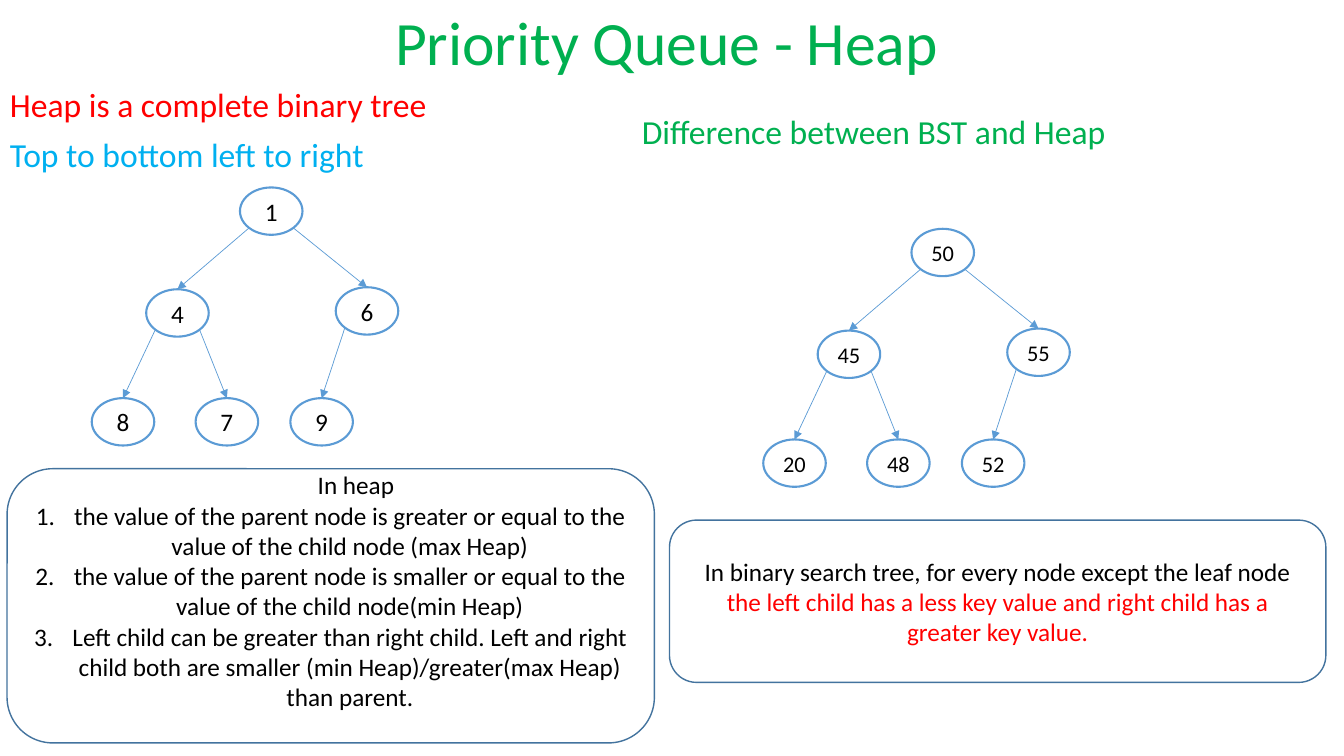
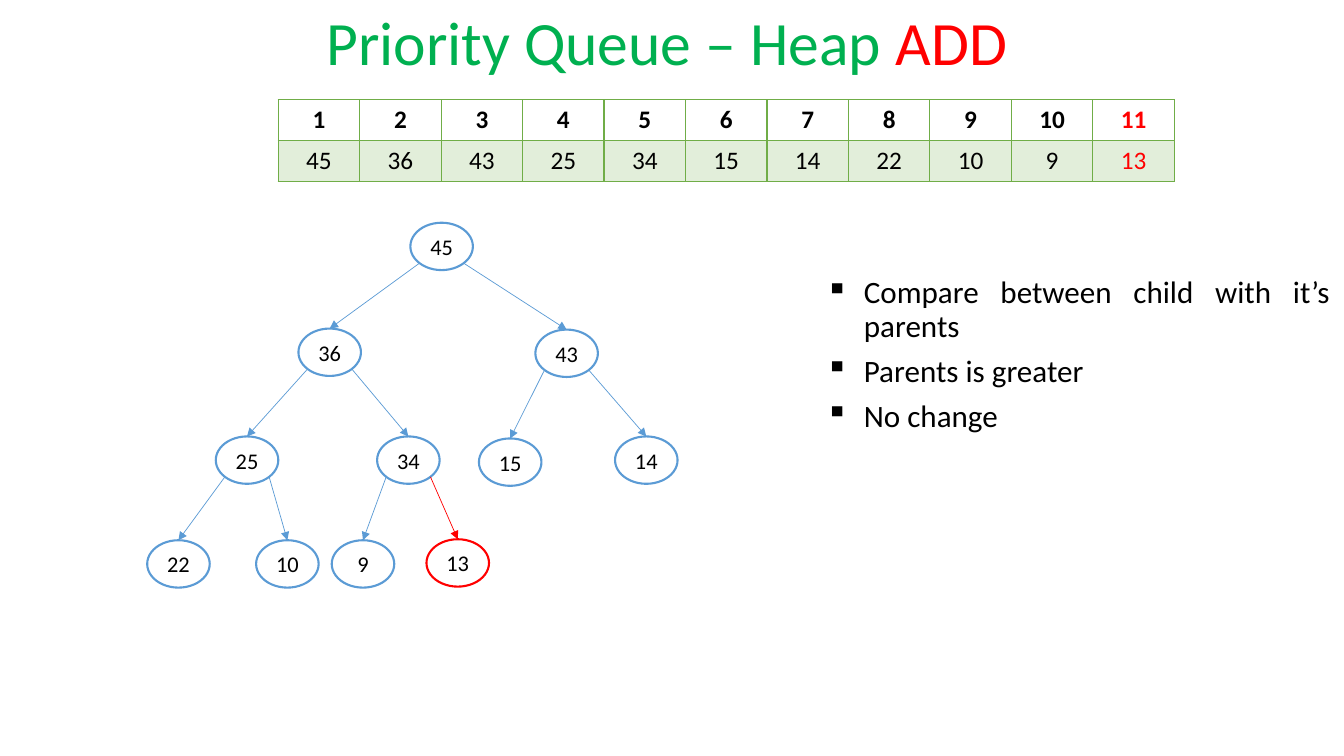
"""Builds two slides on priority queues and heaps."""
import pptx
import pptx.dml.color
import pptx.enum.shapes
import pptx.enum.text
import pptx.oxml
import pptx.oxml.ns
import pptx.util
from lxml import etree

Inches, Pt = pptx.util.Inches, pptx.util.Pt
SHAPE = pptx.enum.shapes.MSO_SHAPE
ALIGN = pptx.enum.text.PP_ALIGN
ANCHOR = pptx.enum.text.MSO_ANCHOR
qn = pptx.oxml.ns.qn

FONT = "Calibri"
COLORS = {
    "black": "000000", "white": "FFFFFF", "red": "FF0000", "green": "00B050",
    "sky": "00B0F0", "node": "5B9BD5", "box": "43739E", "table": "70AD47",
}
NODE_W, NODE_H = 0.62, 0.47
CORNER = 0.146

SMALL_TREE = [(2.38, 1.86), (1.45, 2.87), (3.33, 2.85),
              (0.91, 3.95), (1.94, 3.95), (2.88, 3.95)]
BST_SHIFT = (6.66, 0.41)
ADD_TREE = [(4.07, 2.21), (2.96, 3.26), (5.31, 3.27), (2.14, 4.33),
            (3.74, 4.33), (4.75, 4.35), (6.1, 4.33), (1.46, 5.36),
            (2.54, 5.36), (3.29, 5.36), (4.23, 5.35)]
HEAP_VALUES = [45, 36, 43, 25, 34, 15, 14, 22, 10, 9, 13]
HEAP_RULES = [
    "the value of the parent node is greater or equal to the value of the "
    "child node (max Heap)",
    "the value of the parent node is smaller or equal to the value of the "
    "child node(min Heap)",
    "Left child can be greater than right child. Left and right child both "
    "are smaller (min Heap)/greater(max Heap) than parent.",
]
ADD_STEPS = ["Compare between child with it’s parents", "Parents is greater",
             "No change"]


def rgb(name):
    """Return the named colour."""
    return pptx.dml.color.RGBColor.from_string(COLORS[name])


def style(paragraph, size, color="black", align=ALIGN.CENTER, bold=False):
    """Set the font and alignment of a paragraph."""
    paragraph.alignment = align
    paragraph.font.name = FONT
    paragraph.font.size = Pt(size)
    paragraph.font.bold = bold
    paragraph.font.color.rgb = rgb(color)


def write(frame, lines, size, align=ALIGN.CENTER, anchor=ANCHOR.MIDDLE):
    """Fill a text frame with (text, colour) lines and return its paragraphs."""
    frame.word_wrap = True
    frame.vertical_anchor = anchor
    for number, (text, color) in enumerate(lines):
        paragraph = frame.add_paragraph() if number else frame.paragraphs[0]
        paragraph.add_run().text = text
        style(paragraph, size, color, align)
    return frame.paragraphs


def indent(paragraph, left, first, marker=None, **attributes):
    """Indent a paragraph and give it a bullet or number."""
    props = paragraph._p.get_or_add_pPr()
    props.set("marL", str(Inches(left)))
    props.set("indent", str(Inches(first)))
    if marker:
        bullet = etree.Element(qn(marker), attributes)
        props.find(qn("a:defRPr")).addprevious(bullet)


def add_text(slide, left, top, width, height):
    """Add an empty text box and return its text frame."""
    return slide.shapes.add_textbox(
        Inches(left), Inches(top), Inches(width), Inches(height)).text_frame


def add_outline(slide, kind, left, top, width, height, line, weight=1):
    """Add a white shape with a coloured outline."""
    shape = slide.shapes.add_shape(
        kind, Inches(left), Inches(top), Inches(width), Inches(height))
    shape.shadow.inherit = False
    shape.fill.solid()
    shape.fill.fore_color.rgb = rgb("white")
    shape.line.color.rgb = rgb(line)
    shape.line.width = Pt(weight)
    return shape


def add_title(slide, text, accent=None):
    """Add the slide title, with an optional red ending."""
    frame = add_text(slide, 1.67, 0.12, 9.89, 0.71)
    title = write(frame, [(text, "green")], 44, anchor=ANCHOR.BOTTOM)[0]
    title.line_spacing = 0.9
    if accent:
        ending = title.add_run()
        ending.text = accent
        ending.font.color.rgb = rgb("red")


def add_edge(slide, start, child, color):
    """Draw an arrow from a point to the top of a child node."""
    x, y = (Inches(length) for length in start)
    edge = slide.shapes.add_connector(
        pptx.enum.shapes.MSO_CONNECTOR.STRAIGHT, x, y, x, y)
    edge.end_connect(child, 0)
    edge.line.color.rgb = rgb(color)
    edge.line.width = Pt(0.5)
    etree.SubElement(edge.line._get_or_add_ln(), qn("a:tailEnd"), type="triangle")
    etree.SubElement(edge._element.spPr, qn("a:effectLst"))


def add_tree(slide, places, values, size, shift=(0, 0), new=None):
    """Draw a complete binary tree in level order, with a new node in red."""
    places = [(x + shift[0], y + shift[1]) for x, y in places]
    for index, ((x, y), value) in enumerate(zip(places, values)):
        color = "red" if index == new else "node"
        node = add_outline(slide, SHAPE.OVAL, x, y, NODE_W, NODE_H, color, 1.5)
        write(node.text_frame, [(str(value), "black")], size)
        if index:
            parent_x, parent_y = places[(index - 1) // 2]
            side = CORNER if index % 2 else 1 - CORNER
            start = (parent_x + side * NODE_W, parent_y + (1 - CORNER) * NODE_H)
            add_edge(slide, start, node, color)


def add_border(cell):
    """Draw a thin green border round a table cell."""
    props = cell._tc.get_or_add_tcPr()
    for side in ("a:lnL", "a:lnR", "a:lnT", "a:lnB"):
        line = etree.SubElement(props, qn(side), w=str(Pt(1)))
        fill = etree.SubElement(line, qn("a:solidFill"))
        etree.SubElement(fill, qn("a:srgbClr"), val=COLORS["table"])


def add_heap_table(slide, values):
    """Show the heap as an array, with its last entry in red."""
    count = len(values)
    table = slide.shapes.add_table(
        2, count, Inches(2.76), Inches(0.99), Inches(8.89), Inches(0.81)).table
    table.horz_banding = False
    for row, entries in enumerate((range(1, count + 1), values)):
        for column, entry in enumerate(entries):
            cell = table.cell(row, column)
            cell.text = str(entry)
            color = "red" if column == count - 1 else "black"
            style(cell.text_frame.paragraphs[0], 18, color, bold=row == 0)
            add_border(cell)
            if row:
                cell.fill.solid()
                cell.fill.fore_color.rgb = rgb("table")
                tint = cell._tc.tcPr.find(qn("a:solidFill"))[0]
                etree.SubElement(tint, qn("a:alpha"), val="20000")
            else:
                cell.fill.background()


def build_comparison(slide):
    """Compare the heap with the binary search tree."""
    add_title(slide, "Priority Queue - Heap")
    intro = [("Heap is a complete binary tree", "red"),
             ("Top to bottom left to right", "sky")]
    frame = add_text(slide, 0, 0.83, 13, 5.91)
    for paragraph in write(frame, intro, 24, ALIGN.LEFT, ANCHOR.TOP):
        paragraph.line_spacing = 0.9
        paragraph.space_before = Pt(10)
    add_tree(slide, SMALL_TREE, [1, 4, 6, 8, 7, 9], 18)
    add_tree(slide, SMALL_TREE, [50, 45, 55, 20, 48, 52], 16, BST_SHIFT)

    bst_box = add_outline(
        slide, SHAPE.ROUNDED_RECTANGLE, 6.64, 5.16, 6.51, 1.61, "box")
    write(bst_box.text_frame, [
        ("In binary search tree, for every node except the leaf node", "black"),
        ("the left child has a less key value and right child has a greater "
         "key value.", "red")], 18)

    heap_box = add_outline(
        slide, SHAPE.ROUNDED_RECTANGLE, 0.07, 4.65, 6.42, 2.72, "box")
    heap_box.text_frame.margin_bottom = Inches(0.35)
    lines = [(text, "black") for text in ["In heap"] + HEAP_RULES]
    heading, *rules = write(heap_box.text_frame, lines, 18)
    indent(heading, 0.5, 0)
    for rule in rules:
        indent(rule, 0.38, -0.38, "a:buAutoNum", type="arabicPeriod")

    heading_box = add_outline(
        slide, SHAPE.ROUNDED_RECTANGLE, 5.87, 0.81, 5.59, 0.99, "white")
    write(heading_box.text_frame,
          [("Difference between BST and Heap", "green")], 24)


def build_add(slide):
    """Show a value being added to the heap."""
    add_title(slide, "Priority Queue – Heap ", "ADD")
    add_heap_table(slide, HEAP_VALUES)
    add_tree(slide, ADD_TREE, HEAP_VALUES, 16, new=len(HEAP_VALUES) - 1)
    frame = add_text(slide, 7.85, 2.7, 5.44, 1.65)
    steps = [(step, "black") for step in ADD_STEPS]
    for paragraph in write(frame, steps, 22.2, ALIGN.JUSTIFY, ANCHOR.TOP):
        paragraph.line_spacing = 0.9
        paragraph.space_before = paragraph.space_after = Pt(4)
        indent(paragraph, 0.62, -0.38, "a:buChar", char="▪")


def main():
    """Build and save the presentation."""
    deck = pptx.Presentation()
    deck.slide_width, deck.slide_height = Inches(13.33), Inches(7.5)
    for build in (build_comparison, build_add):
        build(deck.slides.add_slide(deck.slide_layouts[6]))
    deck.save("out.pptx")


main()
